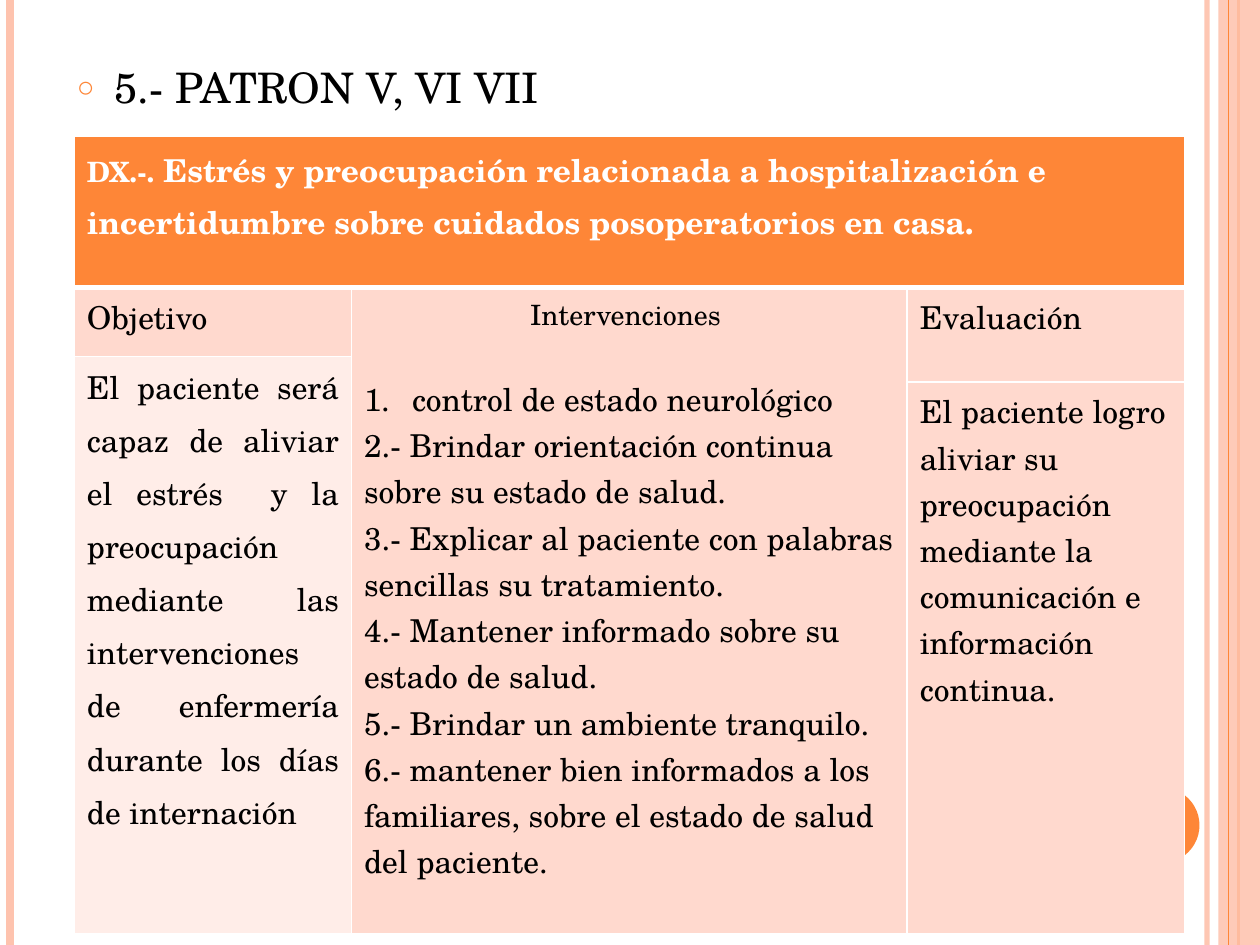
from lxml.etree import SubElement
from pptx import Presentation
from pptx.dml.color import RGBColor
from pptx.enum.shapes import MSO_CONNECTOR, MSO_SHAPE
from pptx.enum.text import MSO_ANCHOR, PP_ALIGN
from pptx.oxml import parse_xml
from pptx.oxml.ns import nsdecls, qn
from pptx.util import Inches, Pt

FONT = "TeX Gyre Schola"
ORANGE, PEACH, PINK, PALE = "FE8637", "FEC3AE", "FFD9CE", "FFEDE8"
WHITE, BLACK = "FFFFFF", "000000"

TITLE = "5.- PATRON V, VI VII"
DIAGNOSIS = ("DX.-.", " Estrés y preocupación relacionada a hospitalización e "
             "incertidumbre sobre cuidados posoperatorios en casa.")
GOAL = ("El paciente será capaz de aliviar el estrés  y la preocupación mediante "
        "las intervenciones de enfermería durante los días de internación ")
ACTIONS = [
    "Intervenciones ",
    "control de estado neurológico",
    "2.- Brindar orientación continua sobre su estado de salud.",
    "3.- Explicar al paciente con palabras sencillas su tratamiento.",
    "4.- Mantener informado sobre su estado de salud.",
    "5.- Brindar un ambiente tranquilo.",
    "6.- mantener bien informados a los familiares, sobre el estado de salud del paciente.",
]
RESULT = ("El paciente logro aliviar su preocupación mediante la comunicación "
          "e información continua.")

# first row, first column, last row, last column, fill, paragraphs
CELLS = [
    (0, 0, 0, 2, ORANGE, ["".join(DIAGNOSIS)]),
    (1, 0, 1, 0, PINK, ["Objetivo"]),
    (1, 1, 3, 1, PINK, ACTIONS),
    (1, 2, 2, 2, PINK, ["Evaluación"]),
    (2, 0, 3, 0, PALE, [GOAL]),
    (3, 2, 3, 2, PINK, [RESULT]),
]
COLS = [2.2, 4.41, 2.2]
ROWS = [1.2, 0.55, 0.2, 4.38]
# x, width in points, colour, opacity in percent
STRIPES = [(9.58, 3, PEACH, 93), (0.08, 4.5, PEACH, 100), (9.83, 1.5, ORANGE, 100)]
THIN = (9.75, 0.75, ORANGE, 100)


def rgb(code):
    return RGBColor.from_string(code)


def fade(shape, alpha):
    if alpha < 100:
        color = next(shape._element.spPr.iter(qn("a:srgbClr")))
        SubElement(color, qn("a:alpha")).set("val", str(alpha * 1000))


def stripe(slide, x, width, color, alpha):
    line = slide.shapes.add_connector(
        MSO_CONNECTOR.STRAIGHT, Inches(x), 0, Inches(x), Inches(7.5))
    line.line.width = Pt(width)
    line.line.color.rgb = rgb(color)
    fade(line, alpha)
    SubElement(line._element.spPr, qn("a:effectLst"))


def block(slide, kind, box, color, alpha=100):
    shape = slide.shapes.add_shape(kind, *map(Inches, box))
    shape.shadow.inherit = False
    shape.fill.solid()
    shape.fill.fore_color.rgb = rgb(color)
    shape.line.fill.background()
    fade(shape, alpha)


def style(par, size, color, bold=False):
    for run in par.runs:
        font = run.font
        font.name, font.size, font.bold = FONT, Pt(size), bold
        font.color.rgb = rgb(color)


def bullet(par, indent, *parts):
    """Give a paragraph a hanging indent and its bullet elements."""
    props = par._p.get_or_add_pPr()
    props.set("marL", str(Inches(indent)))
    props.set("indent", str(-Inches(indent)))
    for part in parts:
        props.append(parse_xml(part.replace(" ", f" {nsdecls('a')} ", 1)))


def border(cell, row):
    props = cell._tc.get_or_add_tcPr()
    thick = {"T": row == 1, "B": row == 0}
    for spot, side in enumerate("LRTB"):
        width = Pt(3 if thick.get(side) else 1)
        props.insert(spot, parse_xml(
            f'<a:ln{side} {nsdecls("a")} w="{width}"><a:solidFill>'
            f'<a:srgbClr val="{WHITE}"/></a:solidFill></a:ln{side}>'))


def heading(slide):
    slide.shapes.title._element.getparent().remove(slide.shapes.title._element)
    body = slide.placeholders[1]
    body.left, body.top, body.width, body.height = map(Inches, (0.51, 0.44, 8.82, 6.64))
    body.text_frame.text = TITLE
    par = body.text_frame.paragraphs[0]
    par.space_before = Pt(0)
    bullet(par, 0.3, f'<a:buClr ><a:srgbClr val="{ORANGE}"/></a:buClr>',
           '<a:buSzPct val="70000"/>', '<a:buChar char="○"/>')
    style(par, 24, BLACK)


def plan(slide):
    """Build the care plan table."""
    frame = slide.shapes.add_table(
        len(ROWS), len(COLS), Inches(0.59), Inches(1.08),
        Inches(sum(COLS)), Inches(sum(ROWS)))
    table = frame.table
    for col, width in zip(table.columns, COLS):
        col.width = Inches(width)
    for row, height in zip(table.rows, ROWS):
        row.height = Inches(height)
    for top, left, bottom, right, color, texts in CELLS:
        cell = table.cell(top, left)
        if (top, left) != (bottom, right):
            cell.merge(table.cell(bottom, right))
        for r in range(top, bottom + 1):
            for c in range(left, right + 1):
                part = table.cell(r, c)
                part.fill.solid()
                part.fill.fore_color.rgb = rgb(color)
                border(part, r)
        cell.vertical_anchor = MSO_ANCHOR.TOP
        cell.text_frame.text = "\n".join(texts)
        for par in cell.text_frame.paragraphs:
            style(par, 18, BLACK)

    par = table.cell(0, 0).text_frame.paragraphs[0]
    par.text = DIAGNOSIS[0]
    par.add_run().text = DIAGNOSIS[1]
    par.line_spacing = 1.07
    style(par, 18, WHITE, True)
    par.runs[0].font.size = Pt(16)

    head, first = table.cell(1, 1).text_frame.paragraphs[:2]
    head.alignment = PP_ALIGN.CENTER
    style(head, 16, BLACK)
    first.alignment = PP_ALIGN.JUSTIFY
    first.space_before = Pt(23.5)
    bullet(first, 0.38, '<a:buFont typeface="+mj-lt"/>',
           '<a:buAutoNum type="arabicPeriod"/>')

    goal = table.cell(2, 0)
    goal.margin_top = goal.margin_bottom = 0
    par = goal.text_frame.paragraphs[0]
    par.alignment = PP_ALIGN.JUSTIFY
    par.line_spacing = 1.15
    par.space_after = Pt(10)


def main():
    deck = Presentation()
    deck.slide_width, deck.slide_height = Inches(10), Inches(7.5)
    slide = deck.slides.add_slide(deck.slide_layouts[1])
    for item in STRIPES:
        stripe(slide, *item)
    block(slide, MSO_SHAPE.RECTANGLE, (9.67, 0, 0.33, 7.5), PEACH, 87)
    stripe(slide, *THIN)
    block(slide, MSO_SHAPE.OVAL, (8.92, 6.25, 0.6, 0.6), ORANGE)
    heading(slide)
    plan(slide)
    deck.save("out.pptx")


if __name__ == "__main__":
    main()
